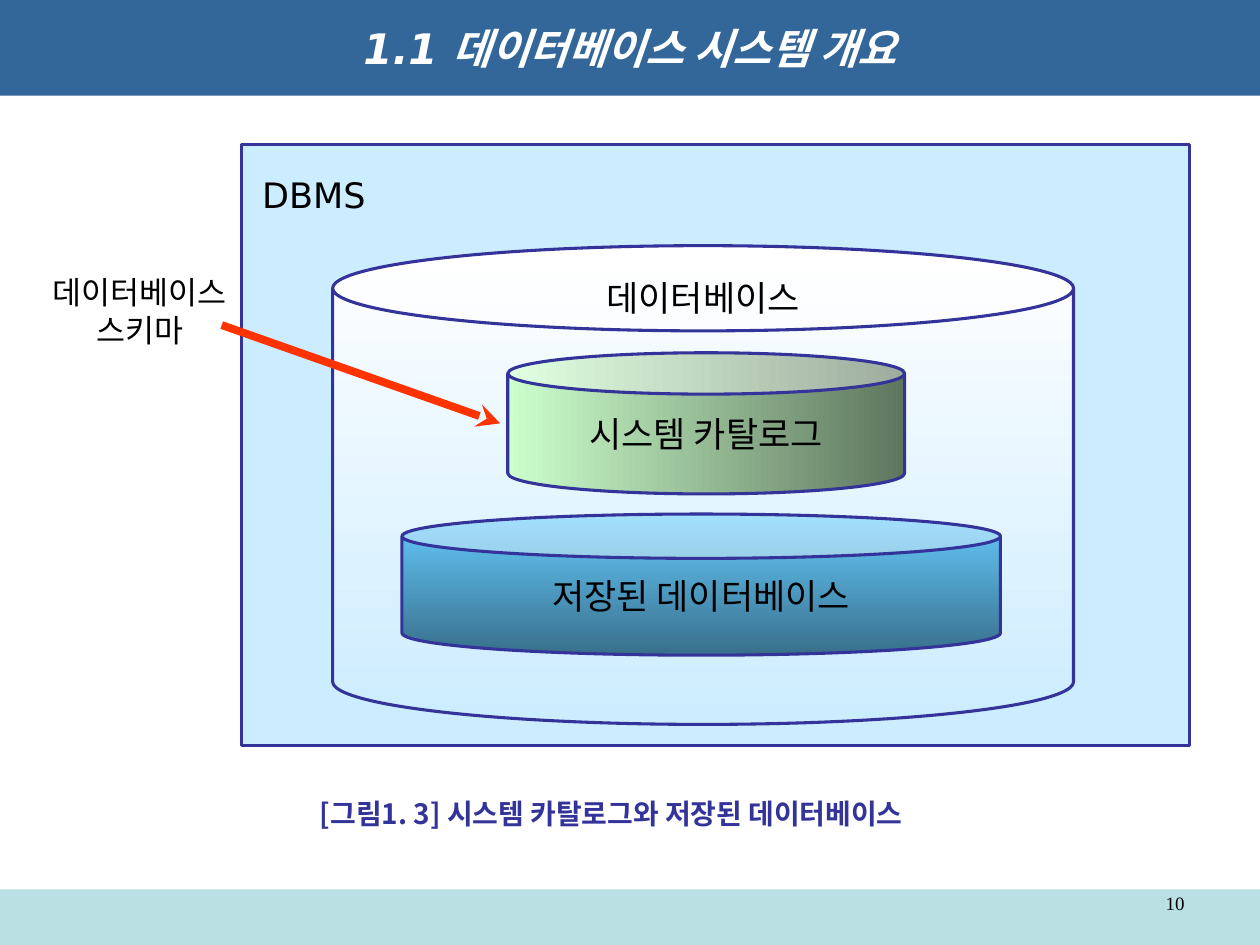
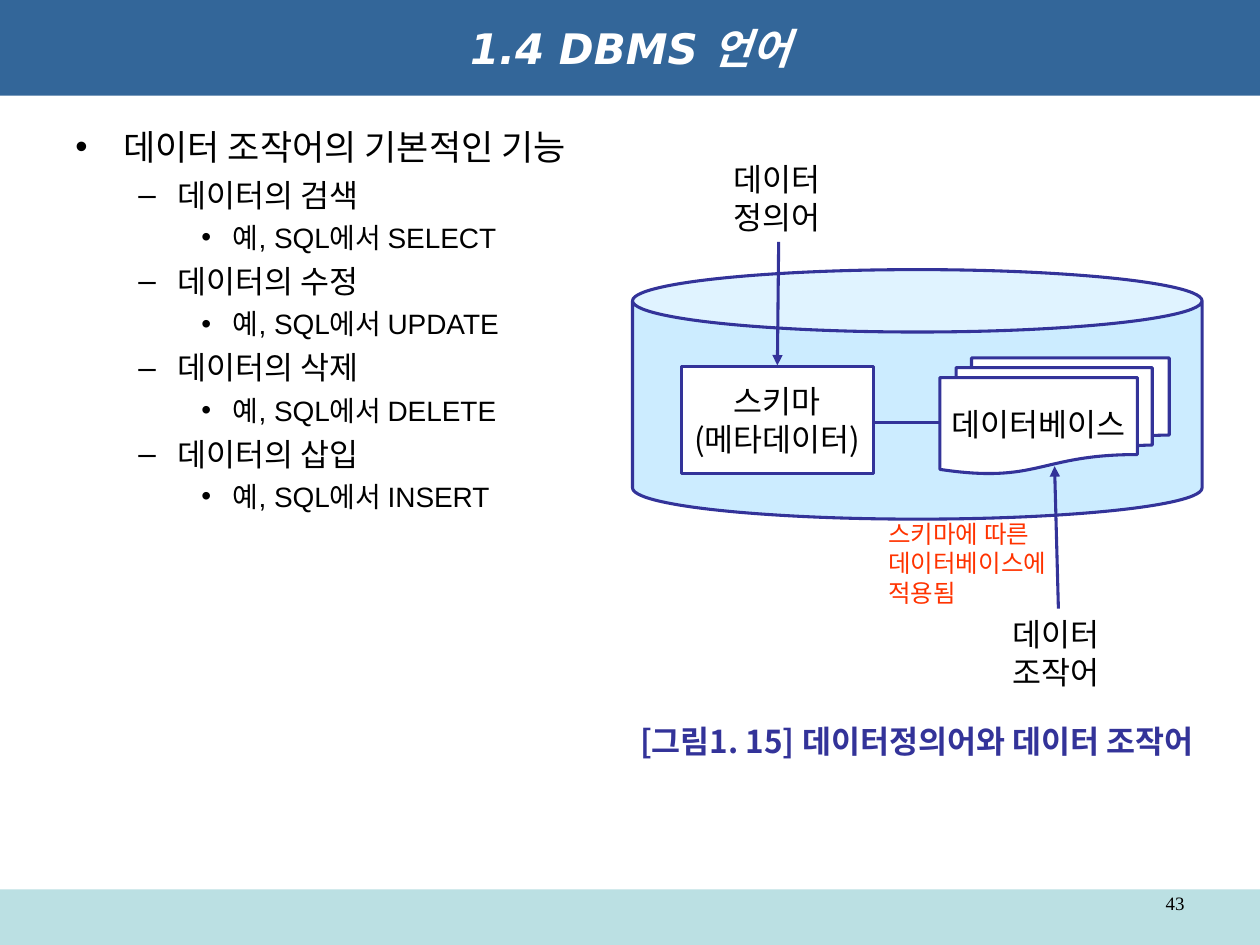
from lxml.etree import SubElement
from pptx import Presentation
from pptx.dml.color import RGBColor
from pptx.enum.shapes import MSO_CONNECTOR, MSO_SHAPE
from pptx.enum.text import MSO_ANCHOR, PP_ALIGN
from pptx.oxml.ns import qn
from pptx.util import Inches, Pt

# Shared colours and fonts
BAND, FOOTER = "336699", "BBE0E3"
NAVY, SKY, RED, BLACK, WHITE = "333399", "CCECFF", "FF3300", "000000", "FFFFFF"
SANS, KOREAN, JAPANESE = "DejaVu Sans", "Noto Sans CJK KR", "Noto Sans CJK JP"
OUTLINE = 1.75
LINE_HEIGHT = 1.2

# Shared text formats
TITLE = {"name": SANS, "size": 24, "color": WHITE, "bold": True, "italic": True}
PAGE_NUMBER = {"name": "Times New Roman", "size": 10.8, "color": BLACK}
DIAGRAM = {"name": SANS, "size": 20, "color": BLACK}
LABEL = {"name": JAPANESE, "size": 18, "color": BLACK}
SCHEMA_LABEL = {**LABEL, "name": SANS}
RED_NOTE = {**LABEL, "size": 14, "color": RED}
CAPTION = {"name": KOREAN, "size": 16, "color": NAVY, "bold": True}

# Bullet levels: mark, left margin, hanging indent, size, space before
LEVELS = [("•", 0.38, 0.38, 20, 5), ("–", 0.81, 0.31, 18, 4.5), ("•", 1.25, 0.25, 16, 4)]


def color(hex_value):
    return RGBColor.from_string(hex_value)


def format_span(span, text_format):
    for key, value in text_format.items():
        if key == "color":
            span.font.color.rgb = color(value)
        else:
            setattr(span.font, key, Pt(value) if key == "size" else value)
    east_asian = text_format["name"] if "CJK" in text_format["name"] else KOREAN
    SubElement(span.font._element, qn("a:ea")).set("typeface", east_asian)


def write(box, lines, text_format, align=PP_ALIGN.CENTER, anchor=MSO_ANCHOR.MIDDLE,
          inset=(0.16, 0.05), wrap=True, spacing=None):
    frame = box.text_frame
    horizontal, vertical = map(Inches, inset)
    settings = {"word_wrap": wrap, "vertical_anchor": anchor,
                "margin_left": horizontal, "margin_right": horizontal,
                "margin_top": vertical, "margin_bottom": vertical}
    for key, value in settings.items():
        setattr(frame, key, value)
    for index, line in enumerate(lines):
        para = frame.add_paragraph() if index else frame.paragraphs[0]
        para.alignment = align
        para.line_spacing = spacing or Pt(text_format["size"] * LINE_HEIGHT)
        span = para.add_run()
        span.text = line
        format_span(span, text_format)


def add_block(page, kind, area, fill, outline=None, adjust=None, angle=90):
    """A tuple as fill makes a gradient, turned clockwise by angle."""
    block = page.shapes.add_shape(kind, *map(Inches, area))
    block.shadow.inherit = False
    if isinstance(fill, tuple):
        block.fill.gradient()
        block.fill.gradient_angle = -angle % 360
        for stop, shade in zip(block.fill.gradient_stops, fill):
            stop.color.rgb = color(shade)
    else:
        block.fill.solid()
        block.fill.fore_color.rgb = color(fill)
    if outline:
        block.line.color.rgb = color(outline)
        block.line.width = Pt(OUTLINE)
    else:
        block.line.fill.background()
    if adjust is not None:
        block.adjustments[0] = adjust
    return block


def add_label(page, area, lines, text_format, **layout):
    box = page.shapes.add_textbox(*map(Inches, area))
    write(box, lines, text_format, **{"anchor": MSO_ANCHOR.TOP, **layout})


def add_line(page, start, end, shade=NAVY, width=OUTLINE, head=None):
    line = page.shapes.add_connector(MSO_CONNECTOR.STRAIGHT, *map(Inches, start + end))
    line.line.color.rgb = color(shade)
    line.line.width = Pt(width)
    if head:
        SubElement(line.line._get_or_add_ln(), qn("a:tailEnd")).set("type", head)
    SubElement(line._element.spPr, qn("a:effectLst"))


def add_bullets(page, area, items):
    frame = page.shapes.add_textbox(*map(Inches, area)).text_frame
    frame.word_wrap = True
    for index, (level, text) in enumerate(items):
        mark, margin, hanging, size, before = LEVELS[level]
        para = frame.add_paragraph() if index else frame.paragraphs[0]
        properties = para._p.get_or_add_pPr()
        properties.set("marL", str(Inches(margin)))
        properties.set("indent", str(-Inches(hanging)))
        mark_color = SubElement(properties, qn("a:buClr"))
        SubElement(mark_color, qn("a:srgbClr")).set("val", BLACK)
        SubElement(properties, qn("a:buFont")).set("typeface", "Arial")
        SubElement(properties, qn("a:buChar")).set("char", mark)
        para.level = level
        para.line_spacing = Pt(size * LINE_HEIGHT)
        if index:
            para.space_before = Pt(before)
        span = para.add_run()
        span.text = text
        format_span(span, {"name": "Arial", "size": size, "color": BLACK})


def add_page(deck, title, number):
    page = deck.slides.add_slide(deck.slide_layouts[6])
    add_block(page, MSO_SHAPE.RECTANGLE, (0, 7.06, 10, 0.44), FOOTER)
    band = add_block(page, MSO_SHAPE.RECTANGLE, (0, 0, 10, 0.76), BAND)
    write(band, [title], TITLE)
    add_label(page, (7.17, 7.06, 2.33, 0.29), [number], PAGE_NUMBER,
              align=PP_ALIGN.RIGHT, inset=(0.1, 0.05), spacing=0.8)
    return page


def build_catalog_page(deck):
    page = add_page(deck, "1.1 데이터베이스 시스템 개요", "10")

    # DBMS frame and the database that holds the two stores
    dbms = add_block(page, MSO_SHAPE.RECTANGLE, (1.92, 1.15, 7.52, 4.77), SKY, NAVY)
    write(dbms, ["DBMS"], DIAGRAM, align=PP_ALIGN.LEFT, anchor=MSO_ANCHOR.TOP,
          inset=(0.16, 0.23))
    add_block(page, MSO_SHAPE.CAN, (2.64, 1.95, 5.88, 3.8), (WHITE, SKY), NAVY, 0.178)
    add_label(page, (2.64, 2.11, 5.88, 0.5), ["데이터베이스"], DIAGRAM,
              anchor=MSO_ANCHOR.MIDDLE)
    stores = [
        ("시스템 카탈로그", (4.03, 2.8, 3.15, 1.12), ("CCFFCC", "5E765E"), 0.293, 0),
        ("저장된 데이터베이스", (3.19, 4.08, 4.75, 1.12), ("66CCFF", "386F8B"), 0.314, 90),
    ]
    for name, area, shades, adjust, angle in stores:
        store = add_block(page, MSO_SHAPE.CAN, area, shades, NAVY, adjust, angle)
        write(store, [name], DIAGRAM)

    # Schema pointer and caption
    add_label(page, (0.23, 2.01, 1.76, 0.92), ["데이터베이스", "스키마"], SCHEMA_LABEL,
              inset=(0.16, 0.16), wrap=False)
    add_line(page, (1.76, 2.58), (3.97, 3.36), RED, 4.5, "stealth")
    add_label(page, (2.44, 6.27, 5.6, 0.37),
              ["[그림1. 3] 시스템 카탈로그와 저장된 데이터베이스"], CAPTION,
              align=PP_ALIGN.JUSTIFY, inset=(0.1, 0.05))


def build_language_page(deck):
    page = add_page(deck, "1.4 DBMS 언어", "43")

    # Functions of the manipulation language
    functions = {"검색": "SELECT", "수정": "UPDATE", "삭제": "DELETE", "삽입": "INSERT"}
    items = [(0, "데이터 조작어의 기본적인 기능")]
    for function, command in functions.items():
        items += [(1, f"데이터의 {function}"), (2, f"예, SQL에서 {command}")]
    add_bullets(page, (0.5, 0.95, 4.42, 5.95), items)

    # Database with its schema and documents
    add_block(page, MSO_SHAPE.CAN, (5.02, 2.14, 4.52, 1.98), SKY, NAVY, 0.25)
    schema = add_block(page, MSO_SHAPE.RECTANGLE, (5.41, 2.91, 1.52, 0.85), WHITE, NAVY)
    write(schema, ["스키마", "(메타데이터)"], LABEL, wrap=False)
    documents = add_block(page, MSO_SHAPE.FLOWCHART_MULTIDOCUMENT,
                          (7.46, 2.84, 1.82, 0.92), WHITE, NAVY)
    write(documents, ["데이터베이스"], LABEL, wrap=False)

    # Caption, labels and arrows
    add_label(page, (4.69, 5.68, 5.17, 0.4), ["[그림1. 15] 데이터정의어와 데이터 조작어"],
              {**CAPTION, "size": 18}, inset=(0.1, 0.05))
    labels = [
        ((5.66, 1.22, 1.04, 0.7), ["데이터", "정의어"], LABEL),
        ((7.88, 4.83, 1.04, 0.7), ["데이터", "조작어"], LABEL),
        ((6.89, 4.07, 1.63, 0.8), ["스키마에 따른", "데이터베이스에", "적용됨"], RED_NOTE),
    ]
    for area, lines, text_format in labels:
        add_label(page, area, lines, text_format, align=PP_ALIGN.LEFT)
    add_line(page, (6.18, 1.92), (6.17, 2.9), head="triangle")
    add_line(page, (8.4, 4.83), (8.37, 3.7), head="triangle")
    add_line(page, (6.93, 3.35), (7.46, 3.35))


def main():
    deck = Presentation()
    deck.slide_width, deck.slide_height = Inches(10), Inches(7.5)
    build_catalog_page(deck)
    build_language_page(deck)
    deck.save("out.pptx")


if __name__ == "__main__":
    main()
